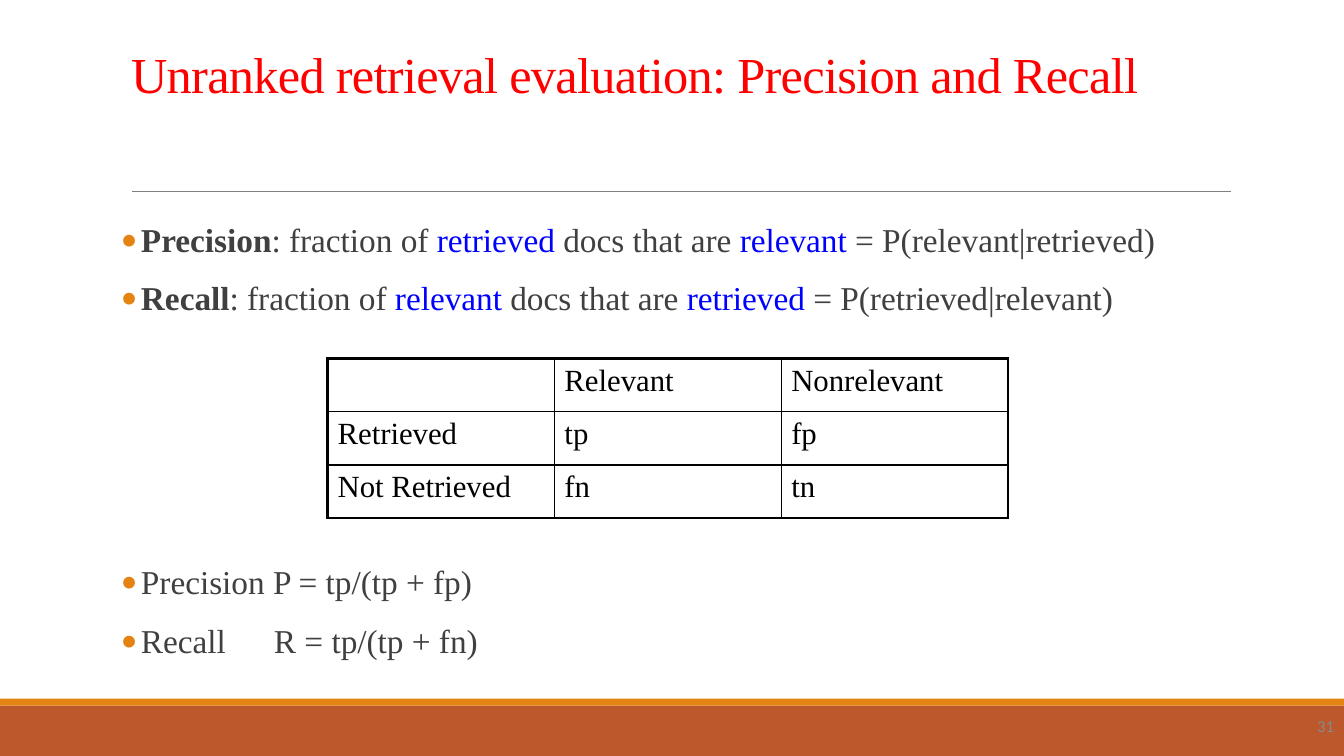
from lxml.etree import SubElement
from pptx import Presentation
from pptx.dml.color import RGBColor
from pptx.enum.shapes import MSO_CONNECTOR as Connector, MSO_SHAPE as Shape
from pptx.enum.text import MSO_ANCHOR as Anchor, MSO_AUTO_SIZE as AutoSize, PP_ALIGN as Align
from pptx.oxml.ns import qn
from pptx.util import Pt

RED, BLUE, BLACK, GREY = "FF0000", "0000FF", "000000", "404040"
ORANGE, RUST = "E48312", "BD582C"


def color(hex_text):
    return RGBColor.from_string(hex_text)


class SlideBuilder:
    font_name = "Times New Roman"
    body_size = 23.8
    table_size = 22

    def __init__(self, presentation):
        self.slide = presentation.slides.add_slide(presentation.slide_layouts[1])

    def place(self, shape, left, top, width, height):
        shape.left, shape.top = Pt(left), Pt(top)
        shape.width, shape.height = Pt(width), Pt(height)

    def run(self, paragraph, text, size, hex_text, bold=False, font_name=None):
        run = paragraph.add_run()
        run.text = text
        run.font.name = font_name or self.font_name
        run.font.size = Pt(size)
        run.font.bold = bold
        run.font.color.rgb = color(hex_text)
        return run

    def bar(self, top, height, hex_text):
        shape = self.slide.shapes.add_shape(Shape.RECTANGLE, 0, Pt(top), Pt(960), Pt(height))
        shape.shadow.inherit = False
        shape.fill.solid()
        shape.fill.fore_color.rgb = color(hex_text)
        shape.line.fill.background()

    def rule(self, left, right, y):
        line = self.slide.shapes.add_connector(
            Connector.STRAIGHT, Pt(left), Pt(y), Pt(right), Pt(y))
        line.line.color.rgb = color("808080")
        line.line.width = Pt(0.5)
        SubElement(line._element.spPr, qn("a:effectLst"))

    def title(self, text, *box):
        shape = self.slide.shapes.title
        self.place(shape, *box)
        frame = shape.text_frame
        frame.auto_size = AutoSize.NONE
        frame.vertical_anchor = Anchor.BOTTOM
        paragraph = frame.paragraphs[0]
        paragraph.alignment = Align.LEFT
        paragraph.line_spacing = 0.85
        run = self.run(paragraph, text, 36, RED)
        run.font._element.set("spc", "-50")

    def bullets(self, items, *box):
        """Each item is a space before and a list of (text, colour, bold) runs."""
        shape = self.slide.placeholders[1]
        self.place(shape, *box)
        frame = shape.text_frame
        frame.auto_size = AutoSize.NONE
        frame.margin_left = frame.margin_right = 0
        for index, (space, parts) in enumerate(items):
            paragraph = frame.add_paragraph() if index else frame.paragraphs[0]
            paragraph.alignment = Align.JUSTIFY
            paragraph.line_spacing = 1.2
            paragraph.space_before = Pt(space)
            properties = paragraph._p.get_or_add_pPr()
            properties.set("marL", str(Pt(14.3)))
            properties.set("indent", str(-Pt(14.3)))
            bullet_color = SubElement(properties, qn("a:buClr"))
            SubElement(bullet_color, qn("a:srgbClr"), val=ORANGE)
            SubElement(properties, qn("a:buFont"), typeface="Calibri")
            SubElement(properties, qn("a:buChar"), char="•")
            tabs = SubElement(properties, qn("a:tabLst"))
            SubElement(tabs, qn("a:tab"), pos=str(Pt(109.3)), algn="l")
            for text, hex_text, bold in parts:
                self.run(paragraph, text, self.body_size, hex_text, bold)

    def border(self, cell, side, width):
        line = SubElement(cell._tc.get_or_add_tcPr(), qn("a:ln" + side), w=str(Pt(width)))
        fill = SubElement(line, qn("a:solidFill"))
        SubElement(fill, qn("a:srgbClr"), val=BLACK)

    def table(self, rows, left, top, column_width, row_height):
        last_row, last_column = len(rows) - 1, len(rows[0]) - 1
        table = self.slide.shapes.add_table(
            len(rows), len(rows[0]), Pt(left), Pt(top),
            Pt(column_width * len(rows[0])), Pt(row_height * len(rows))).table
        table.first_row = table.horz_banding = False
        for row_index, row in enumerate(rows):
            for column_index, text in enumerate(row):
                cell = table.cell(row_index, column_index)
                outer = {"L": column_index == 0, "R": column_index == last_column,
                         "T": row_index == 0, "B": row_index == last_row}
                for side, is_outer in outer.items():
                    self.border(cell, side, 2.25 if is_outer else 1)
                cell.fill.background()
                if text:
                    self.run(cell.text_frame.paragraphs[0], text, self.table_size, BLACK)

    def page_number(self, text, *box):
        shape = self.slide.shapes.add_textbox(*map(Pt, box))
        frame = shape.text_frame
        frame.word_wrap = True
        frame.vertical_anchor = Anchor.MIDDLE
        paragraph = frame.paragraphs[0]
        paragraph.alignment = Align.RIGHT
        self.run(paragraph, text, 12, "898989", font_name="Calibri")


def definition(term, given, wanted):
    return [(term, GREY, True), (": fraction of ", GREY, False), (given, BLUE, False),
            (" docs that are ", GREY, False), (wanted, BLUE, False),
            (f" = P({wanted}|{given})", GREY, False)]


def main():
    presentation = Presentation()
    presentation.slide_width, presentation.slide_height = Pt(960), Pt(540)
    builder = SlideBuilder(presentation)

    # Footer bars and title rule
    builder.bar(504, 36, RUST)
    builder.bar(499, 5, ORANGE)
    builder.rule(94.3, 879, 136.8)

    # Title and list, with room for the table between the two pairs
    builder.title("Unranked retrieval evaluation: Precision and Recall", 86.4, 22.3, 792, 55.4)
    builder.bullets([
        (0, definition("Precision", "retrieved", "relevant")),
        (7.5, definition("Recall", "relevant", "retrieved")),
        (168.6, [("Precision P = tp/(tp + fp)", GREY, False)]),
        (7.5, [("Recall\tR = tp/(tp + fn)", GREY, False)]),
    ], 86.4, 147, 792, 336)

    # Contingency table
    builder.table([
        ["", "Relevant", "Nonrelevant"],
        ["Retrieved", "tp", "fp"],
        ["Not Retrieved", "fn", "tn"],
    ], 234, 256.3, 162, 37.9)

    # Page number
    builder.page_number("31", 860, 504, 100, 29)

    presentation.save("out.pptx")


if __name__ == "__main__":
    main()
